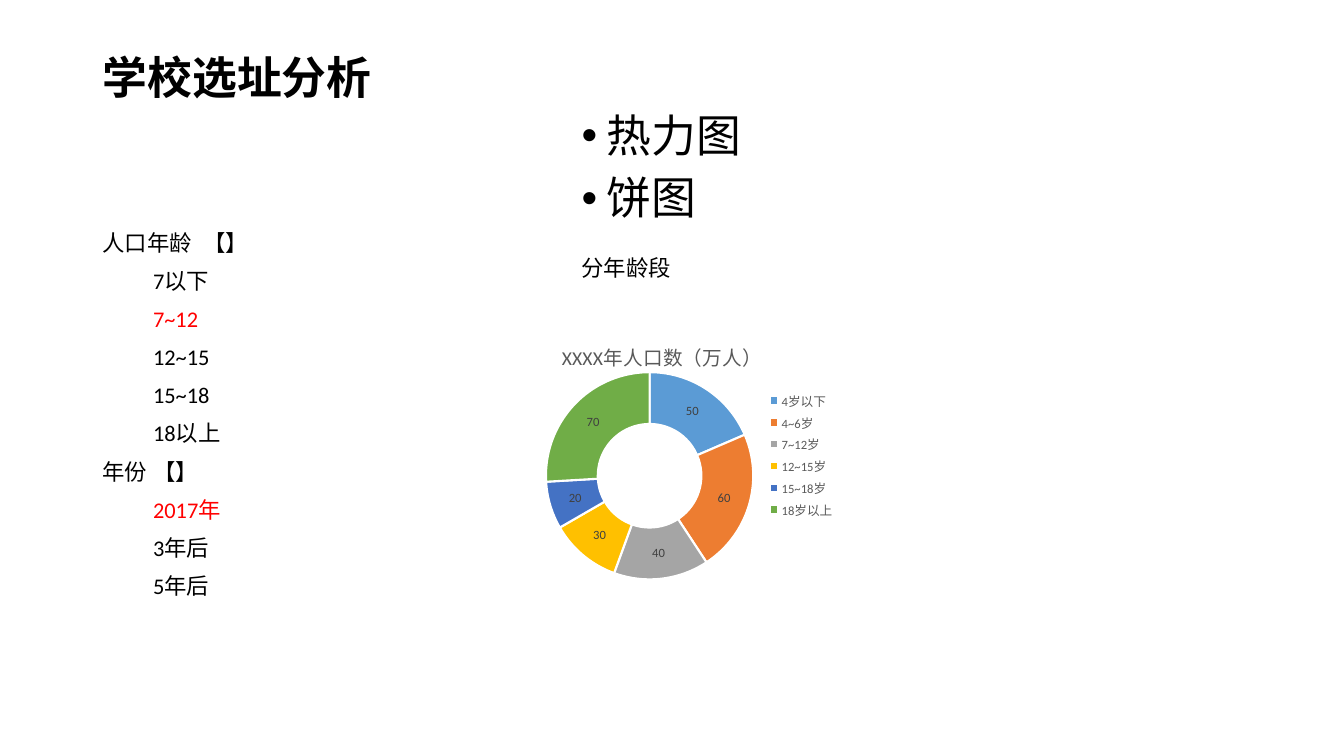
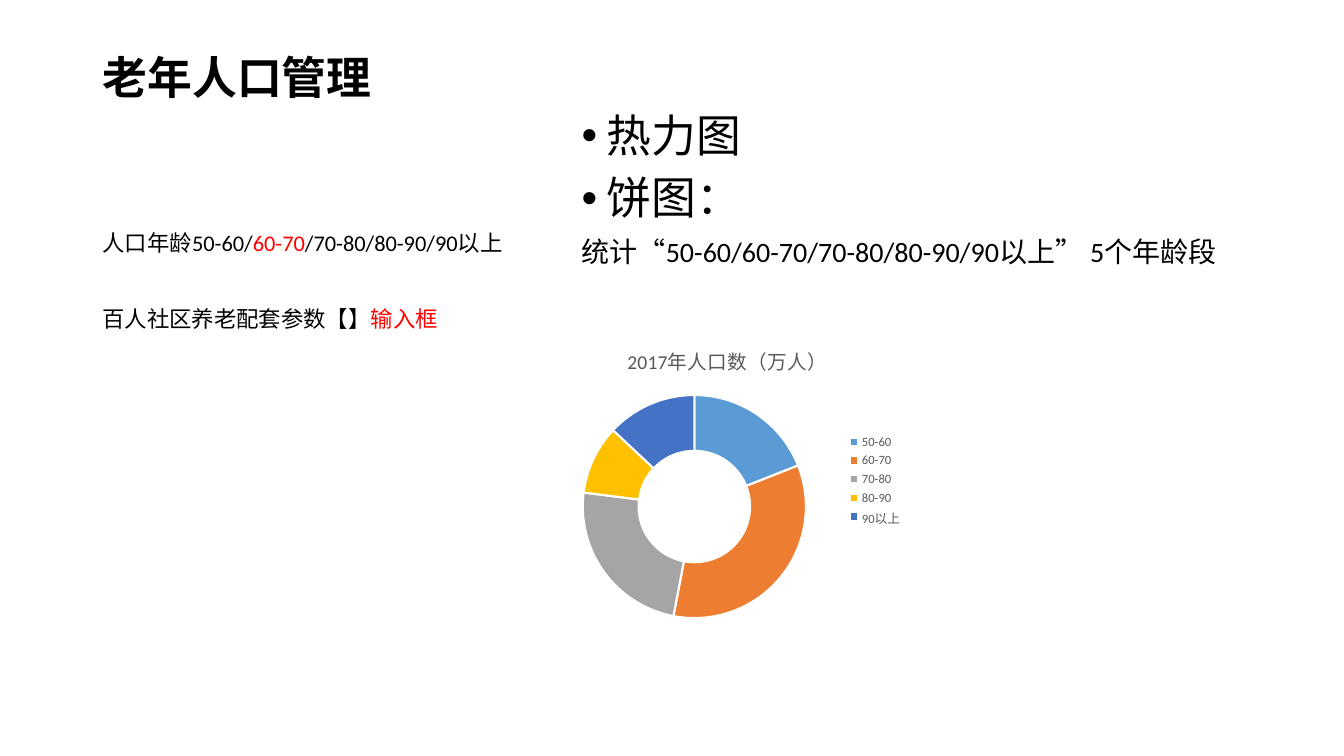
from lxml.etree import SubElement
from pptx import Presentation
from pptx.chart.data import CategoryChartData
from pptx.dml.color import RGBColor
from pptx.enum.chart import XL_CHART_TYPE as ChartType, XL_LEGEND_POSITION as LegendPosition
from pptx.oxml import parse_xml
from pptx.oxml.ns import nsdecls, qn
from pptx.util import Inches, Pt

FONT = "Calibri"
BLACK = RGBColor(0x00, 0x00, 0x00)
RED = RGBColor(0xFF, 0x00, 0x00)
WHITE = RGBColor(0xFF, 0xFF, 0xFF)
GRAY = RGBColor(0x59, 0x59, 0x59)
DARK_GRAY = RGBColor(0x40, 0x40, 0x40)
SLICE_COLORS = [RGBColor.from_string(code) for code in
                ("5B9BD5", "ED7D31", "A5A5A5", "FFC000", "4472C4", "70AD47")]

TITLE_BOX = (0.92, 0.5, 4.3, 1.75)
RESULT_BOX = (5.67, 1.08, 6.75, 5.33)
PARAMETER_BOX = (0.92, 2.25, 4.3, 4.17)


def add_text(slide, box, lines):
    """Each line is (runs, size, space before, style); each run is (text, colour)."""
    frame = slide.shapes.add_textbox(*map(Inches, box)).text_frame
    frame.word_wrap = True
    for index, (runs, size, space_before, style) in enumerate(lines):
        paragraph = frame.add_paragraph() if index else frame.paragraphs[0]
        paragraph.line_spacing = 0.9
        paragraph.space_before = Pt(space_before)
        paragraph.font.name = FONT
        paragraph.font.size = Pt(size)
        paragraph.font.bold = style == "bold"
        for text, color in runs:
            run = paragraph.add_run()
            run.text = text
            run.font.color.rgb = color
        if style == "bullet":
            properties = paragraph._p.get_or_add_pPr()
            properties.set("marL", str(Inches(0.25)))
            properties.set("indent", str(-Inches(0.25)))
            bullet_font = SubElement(properties, qn("a:buFont"))
            bullet_font.set("typeface", "Arial")
            SubElement(properties, qn("a:buChar")).set("char", "•")


def add_doughnut(slide, box, title, series_name, values, hole, plot=None, labels=False):
    data = CategoryChartData()
    data.categories = list(values)
    data.add_series(series_name, list(values.values()))
    chart = slide.shapes.add_chart(ChartType.DOUGHNUT, *map(Inches, box), data).chart
    chart.font.name = FONT
    chart.font.size = Pt(10)
    chart.font.color.rgb = BLACK

    chart.has_title = True
    chart.chart_title.include_in_layout = False
    chart.chart_title.text_frame.text = title
    title_font = chart.chart_title.text_frame.paragraphs[0].font
    title_font.name = FONT
    title_font.size = Pt(14)
    title_font.bold = False
    title_font.color.rgb = GRAY

    chart.has_legend = True
    chart.legend.position = LegendPosition.RIGHT
    chart.legend.include_in_layout = False
    chart.legend.font.name = FONT
    chart.legend.font.size = Pt(9)
    chart.legend.font.color.rgb = GRAY

    doughnut = chart.plots[0]
    doughnut.vary_by_categories = True
    for index, color in zip(range(len(values)), SLICE_COLORS):
        slice_format = doughnut.series[0].points[index].format
        slice_format.fill.solid()
        slice_format.fill.fore_color.rgb = color
        slice_format.line.color.rgb = WHITE
        slice_format.line.width = Pt(1.5)

    doughnut.has_data_labels = labels
    if labels:
        data_labels = doughnut.data_labels
        data_labels.show_value = True
        data_labels.show_percentage = False
        data_labels.font.name = FONT
        data_labels.font.size = Pt(9)
        data_labels.font.color.rgb = DARK_GRAY

    plot_area = chart._chartSpace.find(".//" + qn("c:plotArea"))
    plot_area.find(".//" + qn("c:holeSize")).set("val", str(hole))
    if plot:
        for layout in plot_area.findall(qn("c:layout")):
            plot_area.remove(layout)
        sizes = "".join(f'<c:{name} val="{value}"/>' for name, value in zip("xywh", plot))
        plot_area.insert(0, parse_xml(
            f'<c:layout {nsdecls("c")}><c:manualLayout><c:layoutTarget val="inner"/>'
            f'<c:xMode val="edge"/><c:yMode val="edge"/>{sizes}</c:manualLayout></c:layout>'))


presentation = Presentation()
presentation.slide_width = Inches(13.33)
presentation.slide_height = Inches(7.5)
blank_layout = presentation.slide_layouts[6]

# School siting
slide = presentation.slides.add_slide(blank_layout)
add_text(slide, TITLE_BOX, [([("学校选址分析", BLACK)], 32, 0, "bold")])
add_text(slide, RESULT_BOX, [
    ([("热力图", BLACK)], 32, 10, "bullet"),
    ([("饼图", BLACK)], 32, 10, "bullet"),
    ([("分年龄段", BLACK)], 16, 23, "plain"),
])
parameters = [
    ("人口年龄", "【】"), ("", "7以下"), ("", "7~12"), ("", "12~15"), ("", "15~18"),
    ("", "18以上"), ("年份", "【】"), ("", "2017年"), ("", "3年后"), ("", "5年后"),
]
selected = {"7~12", "2017年"}
add_text(slide, PARAMETER_BOX, [
    ([(name + "\t", BLACK), (option, RED if option in selected else BLACK)], 16, 10, "plain")
    for name, option in parameters
])
population_title = "XXXX年人口数（万人）"
add_doughnut(
    slide, (4.76, 3.23, 3.62, 2.57), population_title, population_title,
    {"4岁以下": 50, "4~6岁": 60, "7~12岁": 40, "12~15岁": 30, "15~18岁": 20, "18岁以上": 70},
    hole=50, plot=(0.17, 0.18, 0.59, 0.8), labels=True)

# Elderly population
slide = presentation.slides.add_slide(blank_layout)
add_text(slide, TITLE_BOX, [([("老年人口管理", BLACK)], 32, 0, "bold")])
add_text(slide, RESULT_BOX, [
    ([("热力图", BLACK)], 32, 10, "bullet"),
    ([("饼图：", BLACK)], 32, 10, "bullet"),
    ([("统计“50-60/60-70/70-80/80-90/90以上” 5个年龄段", BLACK)], 20, 10, "plain"),
])
add_text(slide, PARAMETER_BOX, [
    ([("人口年龄50-60/", BLACK), ("60-70", RED), ("/70-80/80-90/90以上", BLACK)],
     16, 10, "plain"),
    ([("百人社区养老配套参数【】", BLACK), ("输入框", RED)], 16, 37, "plain"),
])
add_doughnut(
    slide, (5.38, 3.27, 3.67, 3), "2017年人口数（万人）", "Series 1",
    {"50-60": 19, "60-70": 34, "70-80": 24, "80-90": 10, "90以上": 13}, hole=65)

presentation.save("out.pptx")
